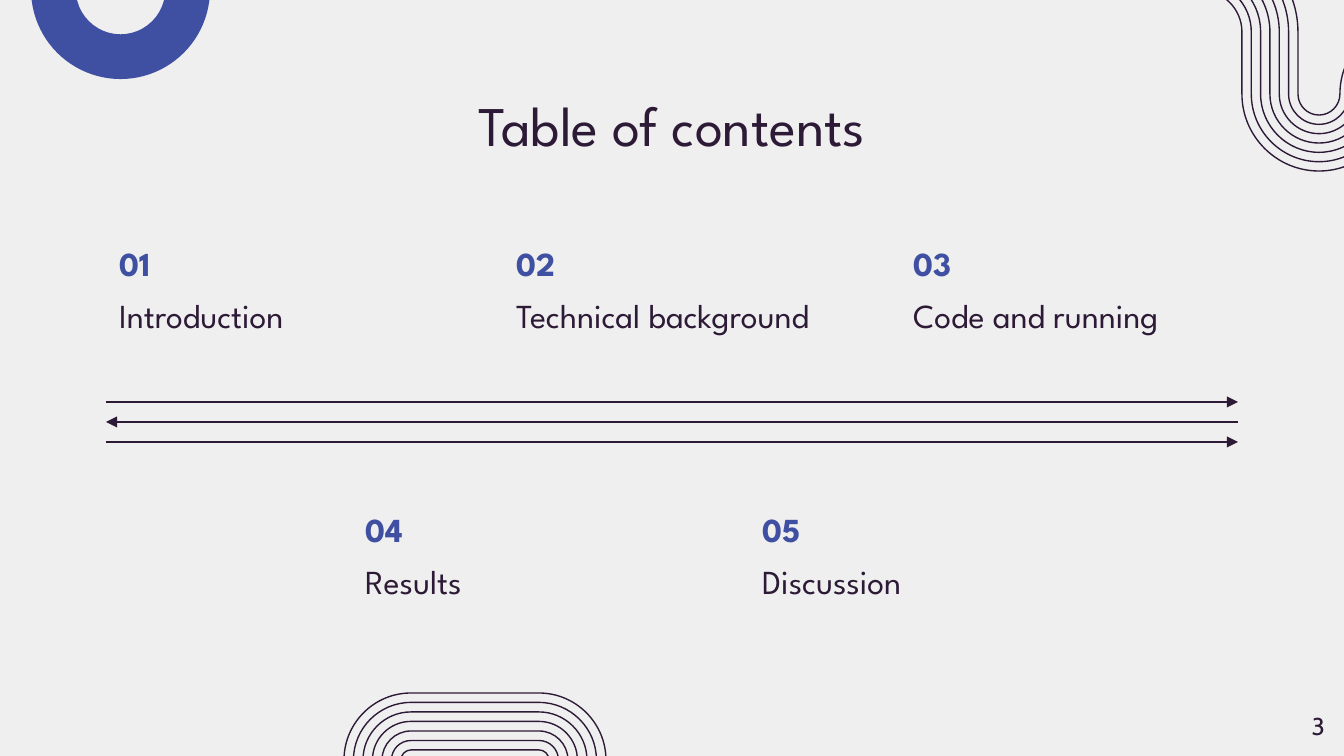
from dataclasses import dataclass

from lxml import etree
from pptx import Presentation
from pptx.dml.color import RGBColor
from pptx.enum import shapes, text
from pptx.oxml.ns import qn
from pptx import util as u


@dataclass(frozen=True)
class Theme:
    paper: RGBColor = RGBColor.from_string("EFEFEF")
    ink: RGBColor = RGBColor.from_string("2D1A36")
    blue: RGBColor = RGBColor.from_string("3F50A2")
    font: str = "League Spartan"
    small: str = "Cabin"
    head: int = 30
    body: int = 18
    page: int = 13
    line: float = 0.75


theme = Theme()
px = 9144000 / 1344
top, bottom = text.MSO_ANCHOR.TOP, text.MSO_ANCHOR.BOTTOM
align = text.PP_ALIGN


def bend(x, y, right, down, flat):
    if flat:
        return [(x + 0.55 * right, y), (x + right, y + 0.45 * down), (x + right, y + down)]
    return [(x, y + 0.55 * down), (x + 0.45 * right, y + down), (x + right, y + down)]


def put(box, words, size, color=theme.ink, font=theme.font,
        bold=False, side=align.LEFT, anchor=top):
    frame = box.text_frame
    frame.word_wrap = True
    frame.auto_size = text.MSO_AUTO_SIZE.NONE
    frame.vertical_anchor = anchor
    frame.margin_left = frame.margin_right = u.Inches(0.1)
    frame.margin_top = frame.margin_bottom = u.Inches(0.1)
    para = frame.paragraphs[0]
    para.alignment = side
    run = para.add_run()
    run.text = words
    run.font.name = font
    run.font.size = u.Pt(size)
    run.font.bold = bold
    run.font.color.rgb = color


deck = Presentation()
deck.slide_width, deck.slide_height = round(1344 * px), round(756 * px)
slide = deck.slides.add_slide(deck.slide_layouts[5])
slide.background.fill.solid()
slide.background.fill.fore_color.rgb = theme.paper

ring = slide.shapes.add_shape(
    shapes.MSO_SHAPE.BLOCK_ARC, *[round(n * px) for n in (31, -100, 179, 179)])
ring.rotation = 180
ring.adjustments[0] = 108
ring.adjustments[1] = 0
ring.adjustments[2] = 0.25
ring.shadow.inherit = False
ring.fill.solid()
ring.fill.fore_color.rgb = theme.blue
ring.line.fill.background()

curves = []
for i in range(7):
    size = 21 + 28 * i / 3
    near, far = 119 - size, 96 - size
    curves.append(("CLCCCL", [(1200, 32 - near)]
                   + bend(1200, 32 - near, near, near, True)
                   + [(1319 - size, 94)]
                   + bend(1319 - size, 94, size, size, False)
                   + bend(1319, 94 + size, size, -size, True)
                   + bend(1319 + size, 94, far, -far, False)
                   + [(1489, 94 - far)]))
    size = 10 + 9.5 * i
    curves.append(("CLCL", [(411 - size, 760)]
                   + bend(411 - size, 760, size, -size, False)
                   + [(539, 760 - size)]
                   + bend(539, 760 - size, size, size, True)
                   + [(539 + size, 959)]))

for kinds, points in curves:
    spots = [(round(x * px), round(y * px)) for x, y in points]
    pen = slide.shapes.build_freeform(*spots[0])
    pen.add_line_segments(spots[1:], close=False)
    curve = pen.convert_to_shape()
    curve.shadow.inherit = False
    curve.fill.background()
    curve.line.color.rgb = theme.ink
    curve.line.width = u.Pt(theme.line)
    steps = iter(list(curve._element.iter(qn("a:lnTo"))))
    for kind in kinds:
        step = next(steps)
        if kind == "C":
            step.tag = qn("a:cubicBezTo")
            for extra in (next(steps), next(steps)):
                step.append(extra[0])
                extra.getparent().remove(extra)

title = slide.shapes.title
title.left, title.top, title.width, title.height = [
    round(n * px) for n in (106, 77, 1132, 85)]
put(title, "Table of contents", theme.head, side=align.CENTER)

rows = [
    (106, 218, ["Introduction", "Technical background", "Code and running"]),
    (352, 484, ["Results", "Discussion"]),
]
count = 0
for x, y, names in rows:
    for i, name in enumerate(names):
        count += 1
        start = round((x + 397 * i) * px)
        label = slide.shapes.add_textbox(
            start, round(y * px), round(108 * px), round(79 * px))
        put(label, f"{count:02}", theme.body, theme.blue, bold=True, anchor=bottom)
        topic = slide.shapes.add_textbox(
            start, round((y + 63) * px), round(339 * px), round(79 * px))
        put(topic, name, theme.body)

for i, tip in enumerate(["a:tailEnd", "a:headEnd", "a:tailEnd"]):
    y = round((402 + 20 * i) * px)
    arrow = slide.shapes.add_connector(
        shapes.MSO_CONNECTOR.STRAIGHT, round(106 * px), y, round(1238 * px), y)
    arrow.line.color.rgb = theme.ink
    arrow.line.width = u.Pt(theme.line)
    etree.SubElement(arrow.line._get_or_add_ln(), qn(tip), type="triangle")
    etree.SubElement(arrow._element.spPr, qn("a:effectLst"))

page = slide.shapes.add_textbox(*[round(n * px) for n in (1258, 698, 80, 58)])
put(page, "3", theme.page, font=theme.small, side=align.RIGHT)

deck.save("out.pptx")
